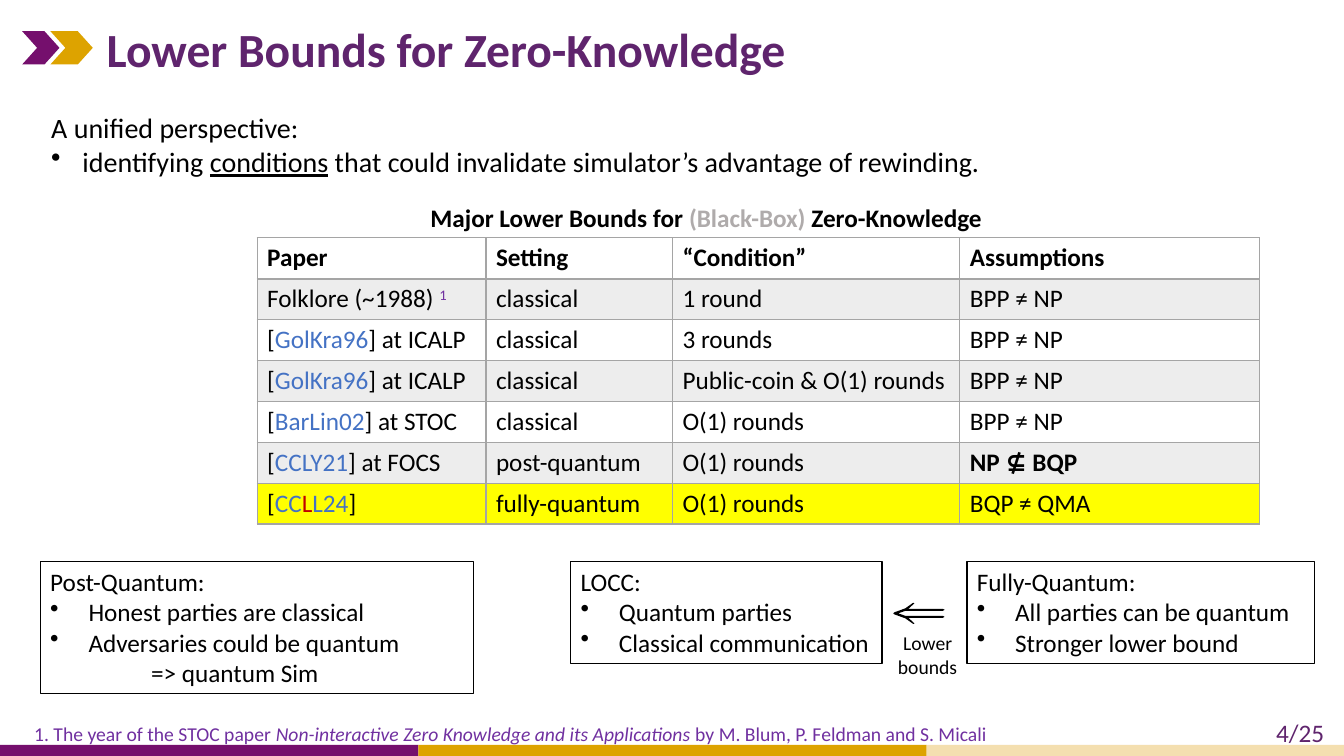
from dataclasses import dataclass

from lxml.etree import SubElement
from pptx import Presentation
from pptx.dml.color import RGBColor
from pptx.enum.shapes import MSO_SHAPE
from pptx.enum.text import MSO_ANCHOR, MSO_AUTO_SIZE, PP_ALIGN
from pptx.oxml.ns import qn
from pptx.util import Emu, Inches, Pt

# Grid: columns and rows of a tenth of an inch
CELL = Inches(0.1)
FONT = "Calibri"
COLORS = {
    "white": "FFFFFF", "black": "000000", "purple": "750F6D", "gold": "DDA300",
    "sand": "F4DFB0", "heading": "5F246D", "note": "7030A0", "cite": "4472C4",
    "red": "C00000", "muted": "AFABAB", "border": "A5A5A5", "band": "EDEDED",
    "highlight": "FFFF00",
}


@dataclass(frozen=True)
class Phrase:
    words: str
    color: str = "black"
    bold: bool = False
    italic: bool = False
    underline: bool = False
    raised: bool = False


@dataclass(frozen=True)
class Line:
    phrases: tuple[Phrase, ...]
    bullet_columns: float = 0
    indent_columns: float = 0
    level: int = 0


@dataclass(frozen=True)
class Box:
    left: float
    top: float
    width: float
    height: float

    def emu(self) -> tuple[Emu, ...]:
        return tuple(grid(n) for n in (self.left, self.top, self.width, self.height))


@dataclass(frozen=True)
class Ornament:
    kind: MSO_SHAPE
    box: Box
    color: str


@dataclass(frozen=True)
class Caption:
    box: Box
    lines: tuple[Line, ...]
    size: float
    framed: bool = False
    centred: bool = False
    grows: bool = True


def grid(count: float) -> Emu:
    return Emu(round(count * CELL))


def rgb(name: str) -> RGBColor:
    return RGBColor.from_string(COLORS[name])


def plain(words: str, **style) -> Line:
    return Line((Phrase(words, **style),))


def bullet(words: str) -> Line:
    return Line((Phrase(words),), bullet_columns=3.8)


def write(paragraph, line: Line, size: float) -> None:
    """Fill one paragraph with the styled phrases of a line."""
    paragraph.text = line.phrases[0].words
    for phrase in line.phrases[1:]:
        paragraph.add_run().text = phrase.words
    paragraph.level = line.level
    margin = line.bullet_columns or line.indent_columns
    if margin:
        props = paragraph._p.get_or_add_pPr()
        props.set("marL", str(grid(margin)))
        props.set("indent", str(-grid(line.bullet_columns)))
        if line.bullet_columns:
            SubElement(props, qn("a:buChar")).set("char", "•")
    for run, phrase in zip(paragraph.runs, line.phrases):
        font = run.font
        font.name, font.size = FONT, Pt(size)
        font.bold, font.italic, font.underline = phrase.bold, phrase.italic, phrase.underline
        font.color.rgb = rgb(phrase.color)
        if phrase.raised:
            run._r.get_or_add_rPr().set("baseline", "30000")


def draw_ornament(slide, ornament: Ornament) -> None:
    mark = slide.shapes.add_shape(ornament.kind, *ornament.box.emu())
    mark.shadow.inherit = False
    mark.fill.solid()
    mark.fill.fore_color.rgb = rgb(ornament.color)
    mark.line.fill.background()
    if ornament.kind == MSO_SHAPE.CHEVRON:
        mark.adjustments[0] = 0.45


def draw_caption(slide, caption: Caption) -> None:
    if caption.framed:
        holder = slide.shapes.add_shape(MSO_SHAPE.RECTANGLE, *caption.box.emu())
        holder.shadow.inherit = False
        holder.fill.solid()
        holder.fill.fore_color.rgb = rgb("white")
        holder.line.color.rgb = rgb("black")
        holder.line.width = Pt(1)
    else:
        holder = slide.shapes.add_textbox(*caption.box.emu())
    frame = holder.text_frame
    frame.word_wrap = True
    frame.auto_size = MSO_AUTO_SIZE.SHAPE_TO_FIT_TEXT if caption.grows else MSO_AUTO_SIZE.NONE
    frame.vertical_anchor = MSO_ANCHOR.TOP if caption.grows else MSO_ANCHOR.MIDDLE
    for index, line in enumerate(caption.lines):
        paragraph = frame.add_paragraph() if index else frame.paragraphs[0]
        write(paragraph, line, caption.size)
        paragraph.alignment = PP_ALIGN.CENTER if caption.centred else PP_ALIGN.LEFT


def set_borders(cell, bottom_points: float) -> None:
    props = cell._tc.get_or_add_tcPr()
    for side in ("L", "R", "T", "B"):
        edge = SubElement(props, qn(f"a:ln{side}"))
        edge.set("w", str(Pt(bottom_points if side == "B" else 1)))
        SubElement(SubElement(edge, qn("a:solidFill")), qn("a:srgbClr")).set("val", COLORS["border"])


def draw_bounds(slide, box: Box, columns: tuple[float, ...], rows: list[tuple[Line, ...]]) -> None:
    bounds = slide.shapes.add_table(len(rows), len(columns), *box.emu()).table
    bounds.first_row = bounds.horz_banding = False
    for column, width in zip(bounds.columns, columns):
        column.width = grid(width)
    for r, lines in enumerate(rows):
        for c, line in enumerate(lines):
            cell = bounds.cell(r, c)
            write(cell.text_frame.paragraphs[0], line, 18)
            set_borders(cell, 1 if r else 2)
            if r == len(rows) - 1 or r % 2:
                cell.fill.solid()
                cell.fill.fore_color.rgb = rgb("band" if r % 2 else "highlight")
            else:
                cell.fill.background()


def paper(key: str, venue: str) -> Line:
    return Line((Phrase("["), Phrase(key, "cite"), Phrase(f"] at {venue}")))


def bound(source: Line, setting: str, condition: str, assumption: Line) -> tuple[Line, ...]:
    return source, plain(setting), plain(condition), assumption


BPP = plain("BPP ≠ NP")
FOLKLORE = Line((Phrase("Folklore (~1988) "), Phrase("1", "note", raised=True)))
NEWEST = Line((Phrase("["), Phrase("CC", "cite"), Phrase("L", "red"), Phrase("L24", "cite"), Phrase("]")))
BOUNDS = [
    tuple(plain(head, bold=True) for head in ("Paper", "Setting", "“Condition”", "Assumptions")),
    bound(FOLKLORE, "classical", "1 round", BPP),
    bound(paper("GolKra96", "ICALP"), "classical", "3 rounds", BPP),
    bound(paper("GolKra96", "ICALP"), "classical", "Public-coin & O(1) rounds", BPP),
    bound(paper("BarLin02", "STOC"), "classical", "O(1) rounds", BPP),
    bound(paper("CCLY21", "FOCS"), "post-quantum", "O(1) rounds", plain("NP ⊈ BQP", bold=True)),
    bound(NEWEST, "fully-quantum", "O(1) rounds", plain("BQP ≠ QMA")),
]
ORNAMENTS = [
    Ornament(MSO_SHAPE.RECTANGLE, Box(0, 73.9, 41.5, 1.1), "purple"),
    Ornament(MSO_SHAPE.RECTANGLE, Box(41.5, 73.9, 50.4, 1.1), "gold"),
    Ornament(MSO_SHAPE.RECTANGLE, Box(91.9, 73.9, 41.4, 1.1), "sand"),
    Ornament(MSO_SHAPE.CHEVRON, Box(2.2, 3.1, 3.7, 3.3), "purple"),
    Ornament(MSO_SHAPE.CHEVRON, Box(5, 3.1, 4.2, 3.3), "gold"),
]
CAPTIONS = [
    Caption(Box(125.6, 70.7, 7.7, 4), (plain("4/25", color="heading"),), 18),
    Caption(Box(9.6, 1.2, 112.1, 7.3),
            (plain("Lower Bounds for Zero-Knowledge", color="heading", bold=True),), 34, grows=False),
    Caption(Box(4.1, 10.5, 110.1, 7.7), (
        plain("A unified perspective:"),
        Line((Phrase("identifying "), Phrase("conditions", underline=True),
              Phrase(" that could invalidate simulator’s advantage of rewinding.")), 3.1)), 20),
    Caption(Box(41.7, 19.6, 65.5, 4), (
        Line((Phrase("Major Lower Bounds for ", bold=True), Phrase("(Black-Box) ", "muted", bold=True),
              Phrase("Zero-Knowledge", bold=True))),), 18),
    Caption(Box(2.4, 71.1, 120.5, 3.4), (
        Line((Phrase("1. The year of the STOC paper ", "note"),
              Phrase("Non-interactive Zero Knowledge and its Applications", "note", italic=True),
              Phrase(" by M. Blum, P. Feldman and S. Micali", "note"))),), 14),
    Caption(Box(4, 55.7, 43, 13.1), (
        plain("Post-Quantum:"), bullet("Honest parties are classical"),
        bullet("Adversaries could be quantum"),
        Line((Phrase("=> quantum Sim"),), indent_columns=10, level=2)), 18, framed=True),
    Caption(Box(95.9, 55.7, 34.5, 10.1), (
        plain("Fully-Quantum:"), bullet("All parties can be quantum"),
        bullet("Stronger lower bound")), 18, framed=True),
    Caption(Box(56.6, 55.7, 30.9, 10.1), (
        plain("LOCC:"), bullet("Quantum parties"), bullet("Classical communication")), 18, framed=True),
    Caption(Box(87.4, 62.1, 9.2, 5.7), (plain("Lower bounds"),), 14, centred=True),
]
# Upper half of the double arrow; the lower half mirrors it
ARROW_AXIS = 60.85
ARROW_HALF = [(88.6, 0), (88.7, 0.1), (89.8, 0.5), (90.5, 1), (90.6, 1.05), (90.7, 1), (90.1, 0.45),
              (93.5, 0.45), (93.7, 0.35), (93.5, 0.25), (89.8, 0.25), (89.1, 0)]


def draw_implication(slide) -> None:
    upper = [(grid(x), grid(ARROW_AXIS - rise)) for x, rise in ARROW_HALF]
    lower = [(grid(x), grid(ARROW_AXIS + rise)) for x, rise in reversed(ARROW_HALF)]
    outline = slide.shapes.build_freeform(*upper[0])
    outline.add_line_segments(upper[1:] + lower[1:], close=True)
    implication = outline.convert_to_shape()
    implication.shadow.inherit = False
    implication.fill.solid()
    implication.fill.fore_color.rgb = rgb("black")
    implication.line.fill.background()


def main() -> None:
    deck = Presentation()
    deck.slide_width, deck.slide_height = Inches(13.33), Inches(7.5)
    slide = deck.slides.add_slide(deck.slide_layouts[6])
    for ornament in ORNAMENTS:
        draw_ornament(slide, ornament)
    draw_bounds(slide, Box(25.5, 23.6, 99.4, 28.4), (22.7, 18.5, 28.5, 29.7), BOUNDS)
    for caption in CAPTIONS:
        draw_caption(slide, caption)
    draw_implication(slide)
    deck.save("out.pptx")


if __name__ == "__main__":
    main()
